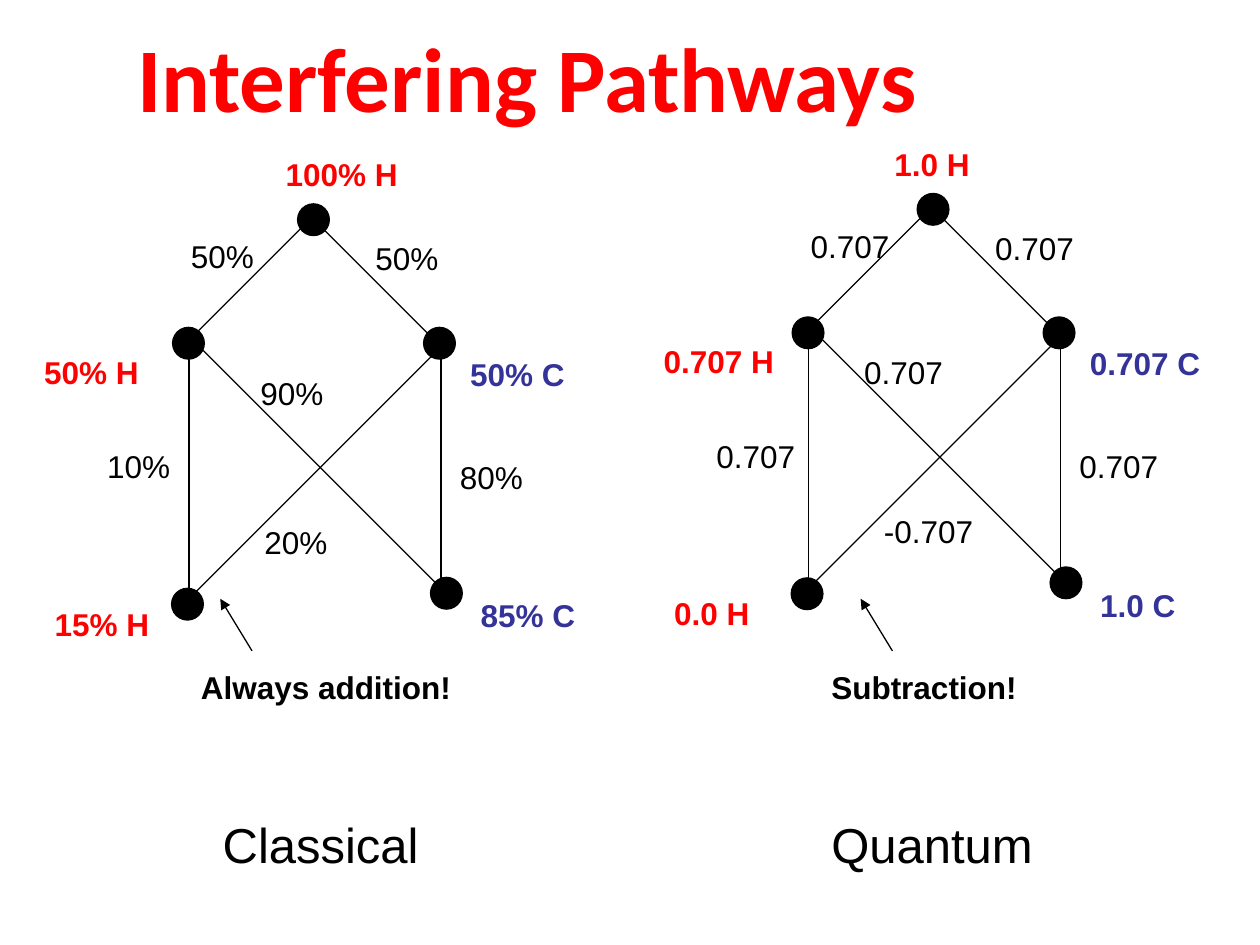
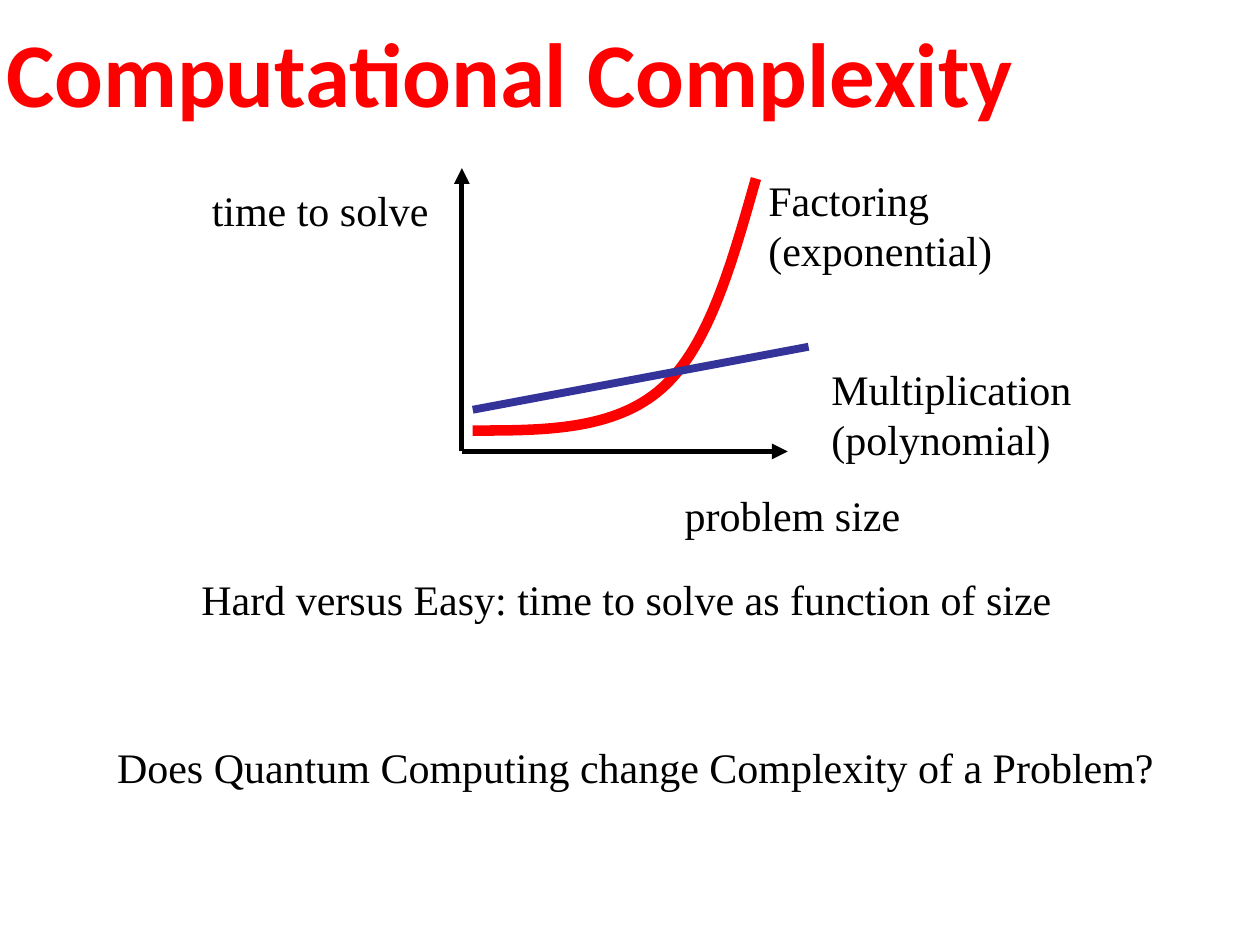
from lxml.etree import SubElement
from pptx import Presentation
from pptx.dml.color import RGBColor
from pptx.enum.shapes import MSO_CONNECTOR as CONN, MSO_SHAPE as SHAPE
from pptx.enum.text import MSO_ANCHOR as ANCHOR, MSO_AUTO_SIZE as AUTO, PP_ALIGN as ALIGN
from pptx.oxml.ns import qn
from pptx.util import Cm, Pt

COLORS = {"red": "FF0000", "blue": "333399", "black": "000000"}
RGB = {name: RGBColor.from_string(value) for name, value in COLORS.items()}


def add_label(s, text, x, y, w, h, font="Arial", size=18, color="black", bold=False):
    tf = s.shapes.add_textbox(Cm(x), Cm(y), Cm(w), Cm(h)).text_frame
    tf.word_wrap = False
    tf.auto_size = AUTO.SHAPE_TO_FIT_TEXT
    tf.text = text
    for p in tf.paragraphs:
        for r in p.runs:
            r.font.name, r.font.size, r.font.bold = font, Pt(size), bold
            r.font.color.rgb = RGB[color]


def add_line(s, x1, y1, x2, y2, color="black", width=0.75, arrow=False):
    line = s.shapes.add_connector(CONN.STRAIGHT, Cm(x1), Cm(y1), Cm(x2), Cm(y2))
    line.line.color.rgb = RGB[color]
    line.line.width = Pt(width)
    if arrow:
        SubElement(line.line._get_or_add_ln(), qn("a:tailEnd"), type="triangle")
    SubElement(line._element.spPr, qn("a:effectLst"))


prs = Presentation()
prs.slide_width, prs.slide_height = Cm(25.4), Cm(19.05)

# Slides with their titles
for title, x, y, w in [("Interfering Pathways", 2.51, 0.3, 20.2),
                       ("Computational Complexity", -0.13, 0.2, 25.53)]:
    s = prs.slides.add_slide(prs.slide_layouts[5])
    sp = s.shapes.title
    sp.left, sp.top, sp.width, sp.height = Cm(x), Cm(y), Cm(w), Cm(2.46)
    tf = sp.text_frame
    tf.text = title
    tf.auto_size = AUTO.NONE
    tf.vertical_anchor = ANCHOR.TOP
    p = tf.paragraphs[0]
    p.alignment = ALIGN.LEFT
    font = p.runs[0].font
    font.name, font.size, font.bold = "Calibri", Pt(52), True
    font.color.rgb = RGB["red"]
pathways, complexity = prs.slides

# Pathways: the same graph twice, the quantum one shifted
NODE = 0.64
nodes = [(6.0, 4.11), (3.48, 6.6), (8.54, 6.6), (3.46, 11.86), (8.68, 11.64)]
edges = [(3.68, 6.99, 6.22, 4.45), (6.35, 4.45, 8.89, 6.99),
         (3.81, 6.78, 8.89, 11.86), (8.89, 6.99, 3.81, 12.07),
         (3.81, 6.99, 3.81, 12.27), (8.89, 6.99, 8.89, 11.86)]
for dx, dy in [(0, 0), (12.49, -0.21)]:
    for x, y in nodes:
        sp = pathways.shapes.add_shape(SHAPE.OVAL, Cm(x + dx), Cm(y + dy), Cm(NODE), Cm(NODE))
        sp.shadow.inherit = False
        sp.fill.solid()
        sp.fill.fore_color.rgb = sp.line.color.rgb = RGB["black"]
        sp.line.width = Pt(0.75)
    for x1, y1, x2, y2 in edges:
        add_line(pathways, x1 + dx, y1 + dy, x2 + dx, y2 + dy)

states = [("100% H", 5.51, 3.0, 2.8, "red"), ("50% H", 0.64, 6.99, 2.45, "red"),
          ("50% C", 9.23, 7.03, 2.45, "blue"), ("15% H", 0.85, 12.07, 2.45, "red"),
          ("85% C", 9.44, 11.9, 2.45, "blue"), ("Always addition!", 3.8, 13.34, 5.65, "black"),
          ("1.0 H", 17.78, 2.79, 2.1, "red"), ("0.707 H", 13.13, 6.77, 2.8, "red"),
          ("0.707 C", 21.72, 6.81, 2.8, "blue"), ("0.0 H", 13.34, 11.85, 2.1, "red"),
          ("1.0 C", 21.93, 11.68, 2.1, "blue"), ("Subtraction!", 16.51, 13.34, 4.3, "black")]
for text, x, y, w, color in states:
    add_label(pathways, text, x, y, w, 1.02, color=color, bold=True)

weights = [("50%", 3.6, 4.65, 1.8), ("50%", 7.32, 4.69, 1.8), ("10%", 1.91, 8.89, 1.8),
           ("90%", 5.0, 7.41, 1.8), ("20%", 5.08, 10.42, 1.8), ("80%", 9.02, 9.1, 1.8),
           ("0.707", 16.09, 4.45, 2.15), ("0.707", 19.81, 4.49, 2.15), ("0.707", 14.19, 8.68, 2.15),
           ("0.707", 17.17, 6.99, 2.15), ("-0.707", 17.57, 10.2, 2.35), ("0.707", 21.51, 8.89, 2.15)]
for text, x, y, w in weights:
    add_label(pathways, text, x, y, w, 1.02)

for name, x, w, arrow_x in [("Classical", 4.24, 4.5, 5.08), ("Quantum", 16.51, 4.65, 17.99)]:
    add_line(pathways, arrow_x, 13.12, arrow_x - 0.64, 12.07, arrow=True)
    add_label(pathways, name, x, 16.3, w, 1.45, size=28)

# Complexity: axes, exponential curve, polynomial line
for x, y in [(15.88, 9.1), (9.31, 3.39)]:
    add_line(complexity, 9.31, 9.1, x, y, width=3, arrow=True)

start, *controls = [(Cm(x), Cm(y)) for x, y in [
    (9.53, 8.68), (10.95, 8.68), (12.38, 8.68), (13.34, 7.83),
    (14.29, 6.99), (14.76, 5.29), (15.24, 3.6)]]
builder = complexity.shapes.build_freeform(*start)
builder.add_line_segments(controls, close=False)
curve = builder.convert_to_shape()
curve.shadow.inherit = False
curve.fill.background()
curve.line.color.rgb = RGB["red"]
curve.line.width = Pt(6)
# Every three straight segments become one Bezier segment
outline = next(curve._element.iter(qn("a:moveTo"))).getparent()
segments = outline.findall(qn("a:lnTo"))
for i in range(0, len(segments), 3):
    bezier = SubElement(outline, qn("a:cubicBezTo"))
    for segment in segments[i:i + 3]:
        bezier.append(segment[0])
        outline.remove(segment)

add_line(complexity, 9.53, 8.26, 16.3, 6.99, color="blue", width=4.5)

for text, x, y, w, h in [
        ("time to solve", 4.02, 3.6, 4.95, 1.27),
        ("problem size", 13.55, 9.74, 4.95, 1.27),
        ("Factoring\n(exponential)", 15.24, 3.39, 5.1, 2.29),
        ("Multiplication\n(polynomial)", 16.51, 7.2, 5.45, 2.29),
        ("Hard versus Easy: time to solve as function of size", 3.81, 11.43, 17.75, 1.27),
        ("Does Quantum Computing change Complexity of a Problem?", 2.11, 14.82, 21.5, 1.27)]:
    add_label(complexity, text, x, y, w, h, font="Times New Roman", size=24)

prs.save("out.pptx")
